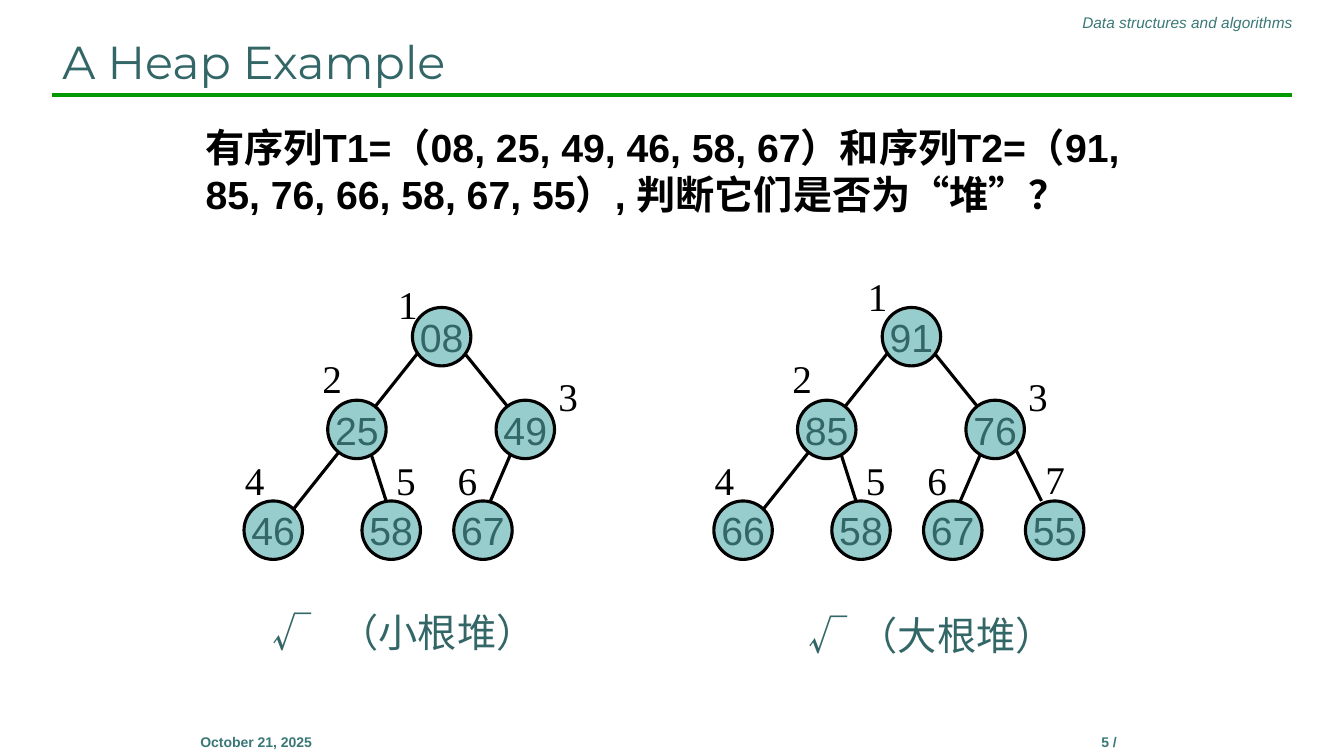
import pptx
import pptx.util
import pptx.dml.color
import pptx.enum.shapes
import pptx.enum.text
import pptx.oxml.ns
from lxml import etree

Inches = pptx.util.Inches
Pt = pptx.util.Pt
ALIGN = pptx.enum.text.PP_ALIGN
ANCHOR = pptx.enum.text.MSO_ANCHOR

TEAL, FOOTER_TEAL, MINT = "336666", "3A7877", "97CDCC"
GREEN, BLACK = "009900", "000000"
CJK = "Noto Sans CJK SC"
NODE_SIZE = 0.58

# Places by heap index, measured from the box around the tree's nodes
NODES = [(1.67, 0), (0.83, 0.92), (2.5, 0.92),
         (0, 1.92), (1.17, 1.92), (2.08, 1.92), (3.09, 1.92)]
INDEX_LABELS = [(1.43, -0.32), (0.68, 0.42), (3.02, 0.59),
                (-0.09, 1.43), (1.41, 1.43), (2.02, 1.43), (3.19, 1.42)]
# The edge that ends at node 4 runs from the root, behind node 2.
# Each entry: index of the last node it reaches, start, end
EDGES = [(6, (2.66, 1.42), (2.41, 2.0)),
         (5, (1.25, 1.42), (1.41, 1.92)),
         (3, (2.16, 0.42), (2.83, 1.25)),
         (4, (1.75, 0.42), (0.42, 2.09)),
         (7, (3.0, 1.42), (3.25, 1.92))]


def rgb(color):
    return pptx.dml.color.RGBColor.from_string(color)


def write(tf, text, size, font, color, align=ALIGN.LEFT, bold=False, italic=False):
    p = tf.paragraphs[0]
    p.alignment = align
    r = p.add_run()
    r.text = text
    r.font.size = Pt(size)
    r.font.name = font
    r.font.bold = bold
    r.font.italic = italic
    r.font.color.rgb = rgb(color)
    ea = etree.SubElement(r.font._element, pptx.oxml.ns.qn("a:ea"))
    ea.set("typeface", CJK)


def add_text(shapes, box, text, size, font, color, wrap=True, anchor=ANCHOR.TOP, **style):
    tf = shapes.add_textbox(*map(Inches, box)).text_frame
    tf.word_wrap = wrap
    tf.vertical_anchor = anchor
    write(tf, text, size, font, color, **style)


def add_line(shapes, start, end, color, width):
    line = shapes.add_connector(pptx.enum.shapes.MSO_CONNECTOR.STRAIGHT,
                                *map(Inches, (*start, *end)))
    line.line.color.rgb = rgb(color)
    line.line.width = Pt(width)
    etree.SubElement(line._element.spPr, pptx.oxml.ns.qn("a:effectLst"))


def add_node(shapes, left, top, value):
    sp = shapes.add_shape(pptx.enum.shapes.MSO_SHAPE.OVAL,
                          *map(Inches, (left, top, NODE_SIZE, NODE_SIZE)))
    sp.shadow.inherit = False
    sp.fill.solid()
    sp.fill.fore_color.rgb = rgb(MINT)
    sp.line.color.rgb = rgb(BLACK)
    sp.line.width = Pt(2.25)
    tf = sp.text_frame
    tf.word_wrap = False
    tf.vertical_anchor = ANCHOR.MIDDLE
    write(tf, value, 28, "Arial", TEAL, ALIGN.CENTER)


def add_frame(s):
    """Draw the header, the rule below the title and the footer."""
    add_line(s.shapes, (0.52, 0.94), (12.81, 0.94), GREEN, 3)
    add_text(s.shapes, (5.63, 0.08, 7.29, 0.29), "Data structures and algorithms",
             11, "Arial", FOOTER_TEAL, align=ALIGN.RIGHT, italic=True)
    for left, text in [(9.5, "5 /"), (1.04, "October 21, 2025")]:
        add_text(s.shapes, (left, 7.23, 3, 0.5), text, 10, "Arial", FOOTER_TEAL,
                 align=ALIGN.CENTER, bold=True)


def add_heading(s):
    """Write the title and the question."""
    add_text(s.shapes, (0.52, 0.23, 12.29, 0.7), "A Heap Example",
             33, "Montserrat", TEAL, anchor=ANCHOR.BOTTOM)
    add_text(s.shapes, (1.94, 1.17, 9.45, 1.04),
             "有序列T1=（08, 25, 49, 46, 58, 67）和序列T2="
             "（91, 85, 76, 66, 58, 67, 55）, 判断它们是否为“堆”？",
             28, "Arial", BLACK, bold=True)


def add_heap(s, left, top, values, root_label_shift=0):
    """Draw a heap of six or seven values as a tree with numbered nodes."""
    shapes = s.shapes.add_group_shape().shapes

    def place(point):
        return left + point[0], top + point[1]

    for last, start, end in EDGES:
        if last <= len(values):
            add_line(shapes, place(start), place(end), BLACK, 2.25)
    for value, point in zip(values, NODES):
        add_node(shapes, *place(point), value)
    for i, point in enumerate(INDEX_LABELS[:len(values)], 1):
        x, y = place(point)
        if i == 1:
            y += root_label_shift
        add_text(shapes, (x, y, 0.4, 0.57), str(i), 28, "Times New Roman", BLACK, wrap=False)


def add_verdict(s, left, top, text, gap, width):
    """Write a check mark and, after a gap, the kind of heap."""
    mark_width = 0.59
    add_text(s.shapes, (left, top, mark_width, 0.57), "√", 28, CJK, TEAL, wrap=False)
    add_text(s.shapes, (left + mark_width + gap, top, width, 0.57), text, 28, CJK, TEAL)


def main():
    prs = pptx.Presentation()
    prs.slide_width = Inches(13.33)
    prs.slide_height = Inches(7.5)
    s = prs.slides.add_slide(prs.slide_layouts[6])
    add_frame(s)
    add_heading(s)
    add_heap(s, 2.42, 3.05, ["08", "25", "46", "49", "58", "67"][:2]
             + ["49", "46", "58", "67"])
    add_heap(s, 7.08, 3.05, ["91", "85", "76", "66", "58", "67", "55"], -0.08)
    add_verdict(s, 2.6, 5.99, "（小根堆）", 0.08, 2.15)
    add_verdict(s, 7.92, 6.02, "（大根堆）", -0.09, 2.3)
    prs.save("out.pptx")


if __name__ == "__main__":
    main()
